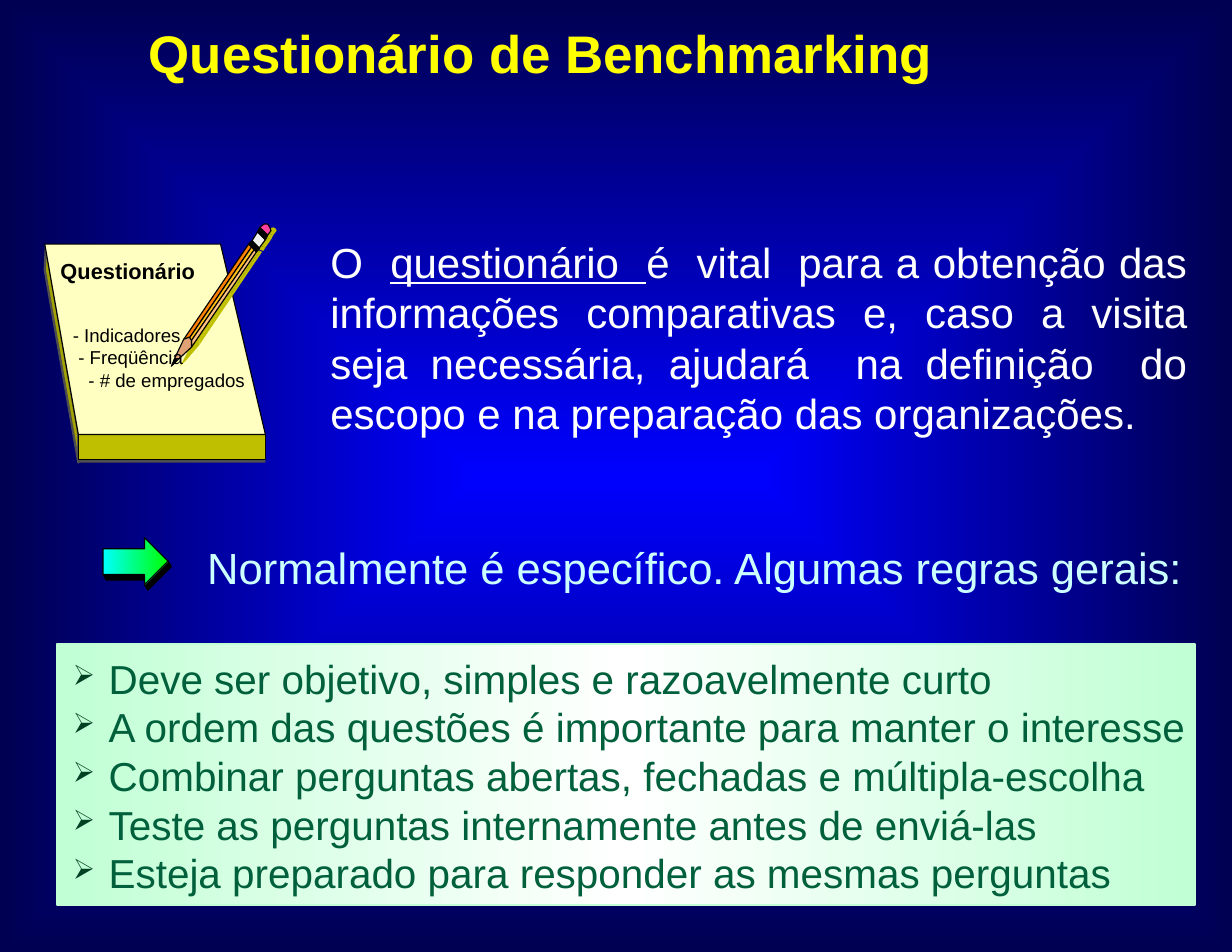
from pptx import Presentation
from pptx.dml.color import RGBColor
from pptx.enum.shapes import MSO_SHAPE
from pptx.enum.text import PP_ALIGN
from pptx.oxml.ns import qn
from pptx.util import Inches, Pt
from lxml import etree

RECTANGLE = MSO_SHAPE.RECTANGLE
LEFT, JUSTIFY = PP_ALIGN.LEFT, PP_ALIGN.JUSTIFY

COLUMNS, ROWS = 110, 85
BLACK, OCHRE, GREY, MINT = "000000", "BFBF00", "4F4F4F", "C1FFD5"
HAIRLINE, THICK = 0.75, 1.45

# Outlines as (fill, line colour, line width, points in columns and rows)
ARROW = [
    (BLACK, BLACK, HAIRLINE, [(9.2, 51.3), (9.5, 51.8), (12.9, 51.8), (12.9, 51.3)]),
    (BLACK, BLACK, HAIRLINE, [(12.9, 52.2), (13.2, 52.7), (15.3, 50.6), (15, 50.1)]),
    (["00FFFF", "00FF00"], BLACK, HAIRLINE,
     [(15, 50.1), (12.9, 52.2), (12.9, 51.3), (9.2, 51.3),
      (9.2, 49), (12.9, 49), (12.9, 48)]),
]
NOTEPAD = [
    (GREY, None, 0, [(7, 41.3), (7, 41), (23.7, 40.9), (23.7, 41.3)]),
    ("A1A100", GREY, THICK, [(4, 24.1), (7, 41.3), (7, 38.7), (4.1, 22)]),
    (OCHRE, BLACK, HAIRLINE, [(7, 38.8), (7, 41), (23.7, 41), (23.7, 38.8)]),
    ("FFFFC2", BLACK, HAIRLINE, [(23.7, 38.8), (19.7, 21.8), (4, 21.8), (7, 38.8)]),
]
PENCIL_SHADOW = [(OCHRE, None, 0, points) for points in (
    [(17.6, 30.3), (17.2, 30.6), (22.8, 22.2), (23, 22.3)],
    [(17.8, 30.4), (17.6, 30.3), (23, 22.3), (23.2, 22.4)],
    [(17.8, 30.4), (17.8, 30.8), (23.4, 22.5), (23.2, 22.4)],
    [(17.8, 30.8), (17.8, 30.4), (17.6, 30.3), (17.2, 30.6), (16.4, 32.1), (16.6, 32.2)],
    [(16.6, 32.2), (16.1, 32.7), (16.4, 32.1)],
    [(22.9, 22.2), (23.1, 21.9), (23.7, 22.1), (23.5, 22.4)],
    [(23.7, 22.1), (24.2, 21.4), (23.6, 21.1), (23.1, 21.9)],
    [(23.6, 21.1), (23.8, 20.8), (24.4, 21), (24.2, 21.4)],
    [(23.8, 20.8), (24.1, 20.4), (24.4, 20.3), (24.6, 20.4), (24.7, 20.6), (24.4, 21)],
)]
PENCIL = [(fill, BLACK, HAIRLINE, points) for fill, points in (
    ("FF8100", [(16.9, 30.2), (16.4, 30.3), (22.2, 21.8), (22.5, 22)]),
    ("FFBF18", [(17.1, 30.4), (16.9, 30.2), (22.5, 22), (22.7, 22.3)]),
    ("FFC281", [(17.1, 30.4), (17.1, 31), (22.9, 22.5), (22.7, 22.3)]),
    ("E0A175", [(17.1, 31), (17.1, 30.4), (16.9, 30.1), (16.4, 30.3), (15.6, 32), (15.8, 32.2)]),
    (BLACK, [(15.8, 32.2), (15.3, 32.7), (15.6, 32)]),
    ("EFEFEF", [(23.1, 22.2), (23.7, 21.4), (23, 20.7), (22.5, 21.5)]),
    (BLACK, [(23, 20.7), (23.2, 20.3), (23.9, 21), (23.7, 21.4)]),
    ("FF40A0", [(23.2, 20.3), (23.6, 20), (23.9, 20), (24.1, 20.3), (24.2, 20.6), (23.9, 21)]),
    (BLACK, [(22.2, 21.8), (22.5, 21.5), (23.2, 22.2), (22.9, 22.5)]),
)]

INDICATORS = [("- Indicadores", 0), ("- Freqüência", 0.5), ("- # de empregados", 1.4)]
RULES = [
    "Deve ser objetivo, simples e razoavelmente curto",
    "A ordem das questões é importante para manter o interesse",
    "Combinar perguntas abertas, fechadas e múltipla-escolha",
    "Teste as perguntas internamente antes de enviá-las",
    "Esteja preparado para responder as mesmas perguntas",
]


def color(value):
    return RGBColor.from_string(value)


def grid(value):
    """Length of a number of columns or rows; the cells are square."""
    return Inches(value * 11 / COLUMNS)


def child(parent, tag, **attributes):
    return etree.SubElement(parent, qn(tag), **attributes)


def add_text(para, text, size=12, fill=BLACK, bold=False, underline=False):
    span = para.add_run()
    span.text = text
    font = span.font
    font.name, font.size, font.bold, font.underline = "Arial", Pt(size), bold, underline
    font.color.rgb = color(fill)


class Slide:
    def __init__(self, deck):
        self.page = deck.slides.add_slide(deck.slide_layouts[6])

    def gradient(self, fill, element, colors, from_center=False):
        fill.gradient()
        gradient = next(element.iter(qn("a:gradFill")))
        for part in list(gradient):
            gradient.remove(part)
        stops = child(gradient, "a:gsLst")
        for index, value in enumerate(colors):
            stop = child(stops, "a:gs", pos=str(100000 * index // (len(colors) - 1)))
            child(stop, "a:srgbClr", val=value)
        if from_center:
            shade = child(gradient, "a:path")
            shade.set("path", "rect")
            child(shade, "a:fillToRect", l="50000", t="50000", r="50000", b="50000")
        else:
            child(gradient, "a:lin", ang="0", scaled="0")

    def background(self, colors):
        self.gradient(self.page.background.fill, self.page.element, colors, from_center=True)

    def paint(self, shape, fill, line, width):
        shape.shadow.inherit = False
        if isinstance(fill, list):
            self.gradient(shape.fill, shape.element, fill)
        else:
            shape.fill.solid()
            shape.fill.fore_color.rgb = color(fill)
        if line:
            shape.line.color.rgb = color(line)
            shape.line.width = Pt(width)
        else:
            shape.line.fill.background()

    def drawing(self, outlines):
        group = self.page.shapes.add_group_shape()
        for fill, line, width, points in outlines:
            start, *rest = [(grid(x), grid(y)) for x, y in points]
            builder = group.shapes.build_freeform(*start)
            builder.add_line_segments(rest, close=True)
            self.paint(builder.convert_to_shape(), fill, line, width)
        return group

    def panel(self, left, top, width, height, fill, line):
        shape = self.page.shapes.add_shape(
            RECTANGLE, grid(left), grid(top), grid(width), grid(height))
        self.paint(shape, fill, line, THICK)

    def text(self, left, top, width, height, paragraphs, align=LEFT, spacing=None,
             bullet=None, wrap=True, parent=None):
        """Each paragraph is (indent in columns, [(text, format), ...])."""
        box = (parent or self.page).shapes.add_textbox(
            grid(left), grid(top), grid(width), grid(height))
        frame = box.text_frame
        frame.word_wrap = wrap
        frame.margin_left = frame.margin_right = frame.margin_top = frame.margin_bottom = 0
        for index, (indent, spans) in enumerate(paragraphs):
            para = frame.add_paragraph() if index else frame.paragraphs[0]
            properties = para._p.get_or_add_pPr()
            properties.set("marL", str(grid(indent)))
            if bullet:
                properties.set("indent", str(-grid(indent)))
                child(child(properties, "a:buClr"), "a:srgbClr", val="004023")
                child(properties, "a:buSzPct", val="70000")
                child(properties, "a:buChar", char=bullet)
            para.alignment = align
            if spacing:
                para.line_spacing = spacing
            for text, style in spans:
                add_text(para, text, **style)


def main():
    deck = Presentation()
    deck.slide_width, deck.slide_height = grid(COLUMNS), grid(ROWS)
    slide = Slide(deck)
    slide.background(["0000FF", "000051"])

    # Arrow and its heading
    slide.drawing(ARROW)
    slide.text(18.5, 48.3, 87.2, 4.7, [(0, [(
        "Normalmente é específico. Algumas regras gerais:",
        dict(size=28, fill="CCFFFF"))])], wrap=False)

    # Notepad with pencil
    notepad = slide.drawing(NOTEPAD + PENCIL_SHADOW + PENCIL)
    slide.text(6.5, 28.9, 17, 6.6,
               [(indent, [(text, {})]) for text, indent in INDICATORS], parent=notepad)
    slide.text(5.4, 23, 13.1, 2.4,
               [(0, [("Questionário", dict(size=14, bold=True))])], parent=notepad)

    # General rules
    slide.panel(5.1, 57.5, 101.6, 23.3, [MINT, "FFFFFF", MINT], MINT)
    slide.text(6.5, 58.4, 103.5, 21.7,
               [(3.2, [(rule, dict(size=26, fill="00603C"))]) for rule in RULES], bullet="➢")

    # Purpose of the questionnaire
    white = dict(size=27, fill="FFFFFF")
    slide.text(29.5, 21.1, 76.5, 18, [(0, [
        ("O  ", white),
        ("questionário ", dict(white, underline=True)),
        (" ", dict(white, bold=True, underline=True)),
        ("é  vital  para a obtenção das informações comparativas e, caso a visita seja "
         "necessária, ajudará  na definição  do escopo e na preparação das organizações.",
         white)])], align=JUSTIFY)

    # Title
    slide.text(13.3, 2.5, 84, 5.7, [(0, [(
        "Questionário de Benchmarking", dict(size=34, fill="FFFF00", bold=True))])], spacing=0.9)

    deck.save("out.pptx")


if __name__ == "__main__":
    main()
